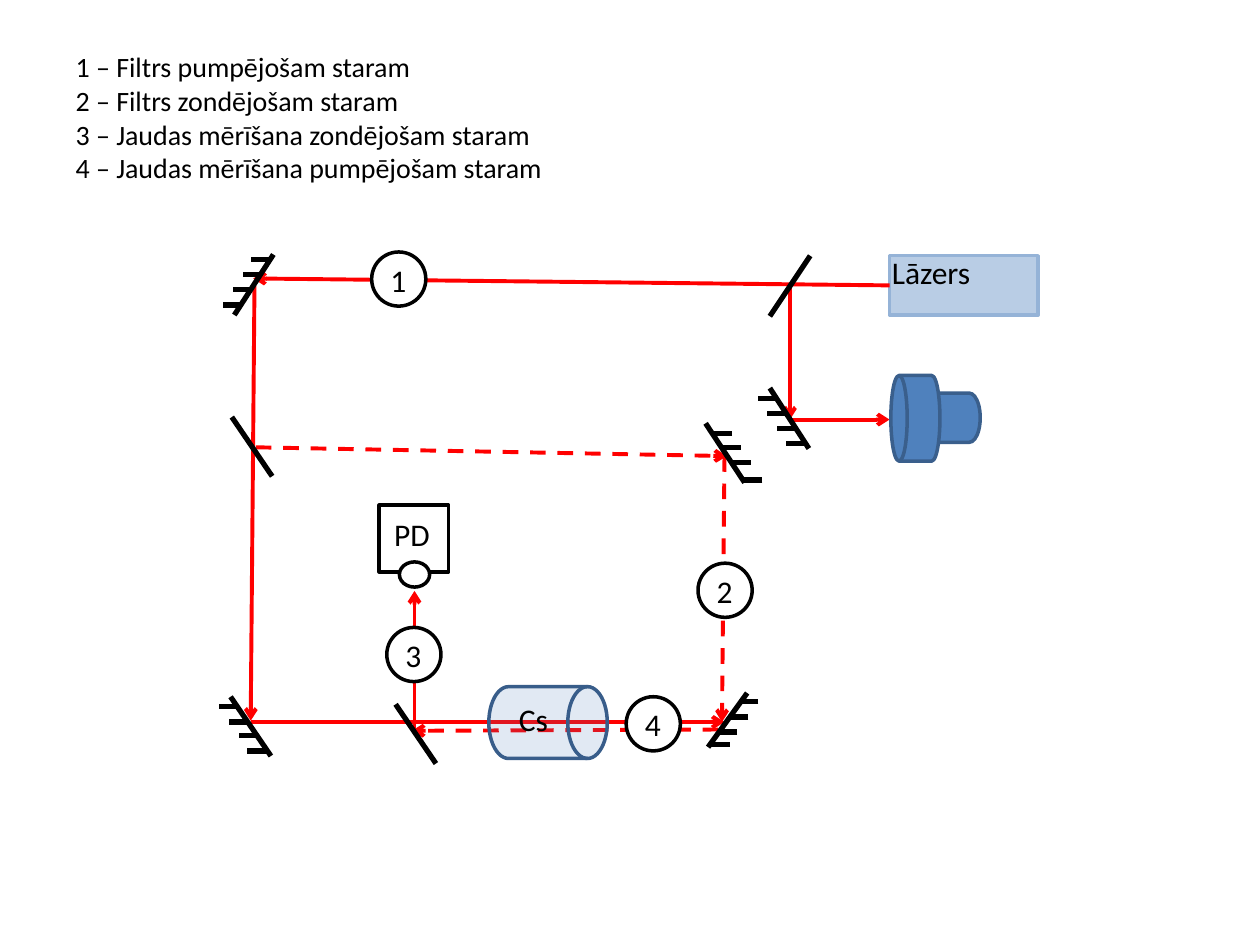
from lxml import etree
from pptx import Presentation
from pptx.dml.color import RGBColor
from pptx.enum.dml import MSO_LINE
from pptx.enum.shapes import MSO_CONNECTOR, MSO_SHAPE
from pptx.enum.text import MSO_ANCHOR, MSO_AUTO_SIZE, PP_ALIGN
from pptx.oxml.ns import qn
from pptx.util import Inches, Pt

BLACK, WHITE, RED = "000000", "FFFFFF", "FF0000"
rgb = RGBColor.from_string


def draw_line(parent, start, end, color=BLACK, width=3, dashed=False, arrow=False):
    line = parent.add_connector(MSO_CONNECTOR.STRAIGHT, *map(Inches, start + end))
    line.line.color.rgb = rgb(color)
    line.line.width = Pt(width)
    if dashed:
        line.line.dash_style = MSO_LINE.DASH
    if arrow:
        etree.SubElement(line.line._get_or_add_ln(), qn("a:tailEnd"), type="arrow")
    etree.SubElement(line._element.spPr, qn("a:effectLst"))
    return line


def draw_shape(parent, kind, place, fill=WHITE, outline=BLACK):
    shape = parent.add_shape(kind, *map(Inches, place))
    shape.shadow.inherit = False
    shape.fill.solid()
    shape.fill.fore_color.rgb = rgb(fill)
    shape.line.color.rgb = rgb(outline)
    shape.line.width = Pt(2)
    return shape


deck = Presentation()
deck.slide_width, deck.slide_height = Inches(10), Inches(7.5)
page = deck.slides.add_slide(deck.slide_layouts[5])
shapes = page.shapes

# Legend in the title
title = shapes.title
title.left, title.top, title.width, title.height = map(Inches, (0.5, 0.34, 9, 1.18))
frame = title.text_frame
frame.text = "\n".join([
    "1 – Filtrs pumpējošam staram",
    "2 – Filtrs zondējošam staram",
    "3 – Jaudas mērīšana zondējošam staram",
    "4 – Jaudas mērīšana pumpējošam staram",
])
frame.word_wrap = True
frame.vertical_anchor = MSO_ANCHOR.MIDDLE
for para in frame.paragraphs:
    para.alignment = PP_ALIGN.LEFT
    para.font.size = Pt(16)
    para.font.name = "Calibri"
    para.font.color.rgb = rgb(BLACK)

# Laser and beams
laser = draw_shape(shapes, MSO_SHAPE.RECTANGLE, (7.06, 2.03, 1.18, 0.47), "B9CDE5", "95B3D7")
beams = [  # start, end, dashed
    ((7.06, 2.27), (2.01, 2.21), False),
    ((2.02, 2.27), (1.99, 5.72), False),
    ((1.99, 5.73), (5.75, 5.73), False),
    ((5.7, 5.79), (3.27, 5.8), True),
    ((3.29, 5.83), (3.29, 4.69), False),
    ((6.27, 2.27), (6.27, 3.33), False),
    ((6.27, 3.33), (7.06, 3.33), False),
    ((2.03, 3.55), (5.77, 3.62), True),
    ((5.75, 3.62), (5.73, 5.73), True),
]
drawn_beams = [draw_line(shapes, start, end, RED, 2.25, dashed, arrow=True)
               for start, end, dashed in beams]
drawn_beams[0].begin_connect(laser, 1)

# Beam splitters
for start, end in [((6.43, 2.03), (6.11, 2.51)),
                   ((2.16, 3.78), (1.84, 3.31)),
                   ((3.46, 6.06), (3.14, 5.59))]:
    draw_line(shapes, start, end)

# Mirrors: surface ends, then the right end of each hatch mark
mirrors = [
    ((2.17, 2.02), (1.86, 2.5), [(2.14, 2.06), (2.08, 2.18), (2, 2.3), (1.92, 2.42)]),
    ((2.15, 6), (1.83, 5.53), [(2.11, 5.96), (2.05, 5.84), (1.97, 5.73), (1.89, 5.61)]),
    ((6.42, 3.56), (6.11, 3.08), [(6.39, 3.52), (6.32, 3.4), (6.24, 3.28), (6.17, 3.16)]),
    ((5.62, 5.93), (5.93, 5.5), [(5.79, 5.91), (5.85, 5.81), (5.94, 5.69), (6.02, 5.57)]),
    ((5.91, 3.83), (5.6, 3.36), [(6.05, 3.81), (5.96, 3.67), (5.88, 3.55), (5.81, 3.44)]),
]
for start, end, hatches in mirrors:
    mirror = shapes.add_group_shape().shapes
    draw_line(mirror, start, end)
    for x, y in hatches:
        draw_line(mirror, (x, y), (x - 0.15, y))

# Photodiode, caesium cell and camera
photodiode = shapes.add_group_shape().shapes
draw_shape(photodiode, MSO_SHAPE.RECTANGLE, (3.01, 4.01, 0.55, 0.53))
draw_shape(photodiode, MSO_SHAPE.OVAL, (3.17, 4.46, 0.24, 0.2))

drum = MSO_SHAPE.FLOWCHART_DIRECT_ACCESS_STORAGE
cell = draw_shape(shapes, drum, (3.88, 5.45, 0.94, 0.57), "4F81BD", "385D8A")
cell_color = cell._element.spPr.find(qn("a:solidFill"))[0]
etree.SubElement(cell_color, qn("a:alpha"), val="17000")

camera = shapes.add_group_shape().shapes
for place in [(7.26, 3.12, 0.52, 0.39), (7.07, 2.98, 0.39, 0.68)]:
    part = draw_shape(camera, drum, place, "4F81BD", "3A5F8C")
    part._element.spPr.find(qn("a:xfrm")).set("flipH", "1")

# Numbered circles and labels
labels = [  # text, place, wrap
    ("Lāzers", (6.98, 1.96, 1.1, 0.4), True),
    ("Cs", (4.02, 5.51, 0.55, 0.4), True),
    ("PD", (3.03, 4.04, 0.49, 0.4), False),
]
for number, x, y in [("1", 2.95, 2), ("2", 5.54, 4.47), ("3", 3.07, 4.98), ("4", 4.97, 5.53)]:
    draw_shape(shapes, MSO_SHAPE.OVAL, (x, y, 0.43, 0.43))
    labels.append((number, (x + 0.05, y + 0.02, 0.33, 0.4), False))

for text, place, wrap in labels:
    box = shapes.add_textbox(*map(Inches, place))
    box.text_frame.word_wrap = wrap
    box.text_frame.auto_size = MSO_AUTO_SIZE.SHAPE_TO_FIT_TEXT
    para = box.text_frame.paragraphs[0]
    para.text = text
    para.font.size = Pt(18)
    para.font.name = "Calibri"
    para.font.color.rgb = rgb(BLACK)

deck.save("out.pptx")
